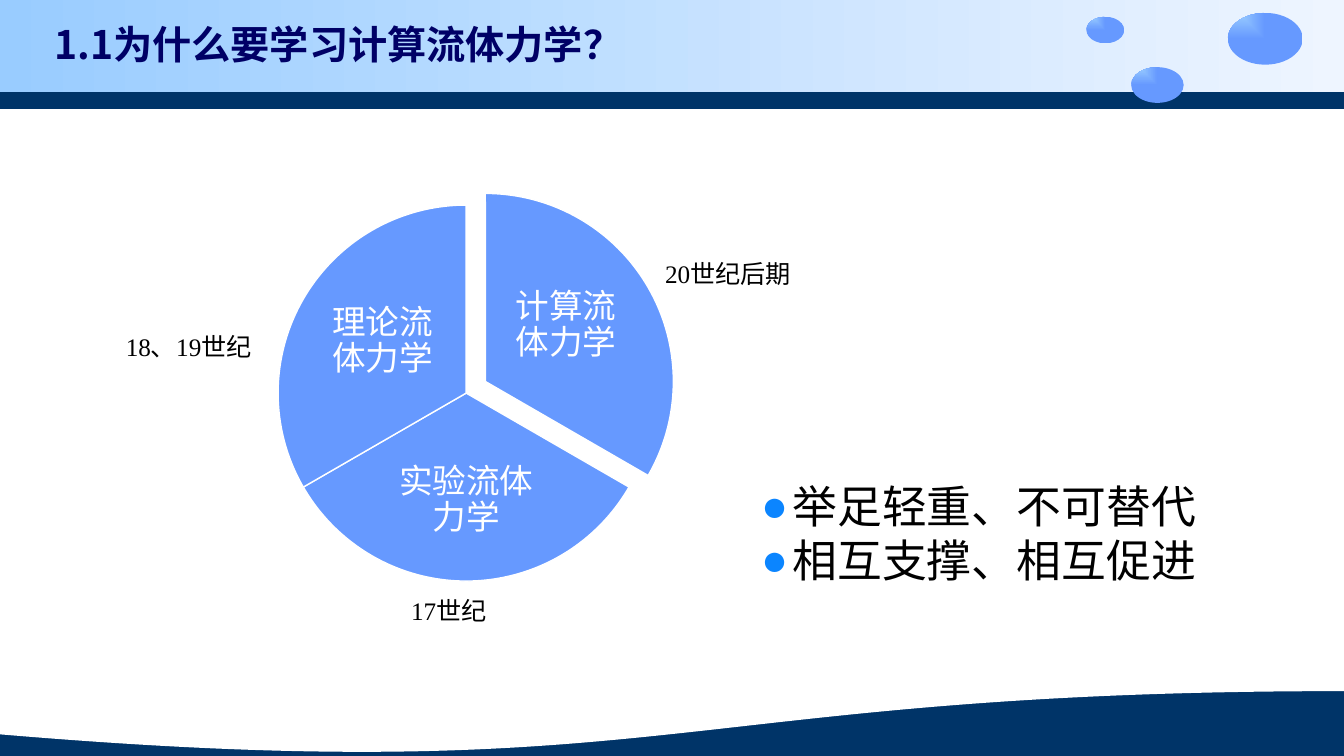
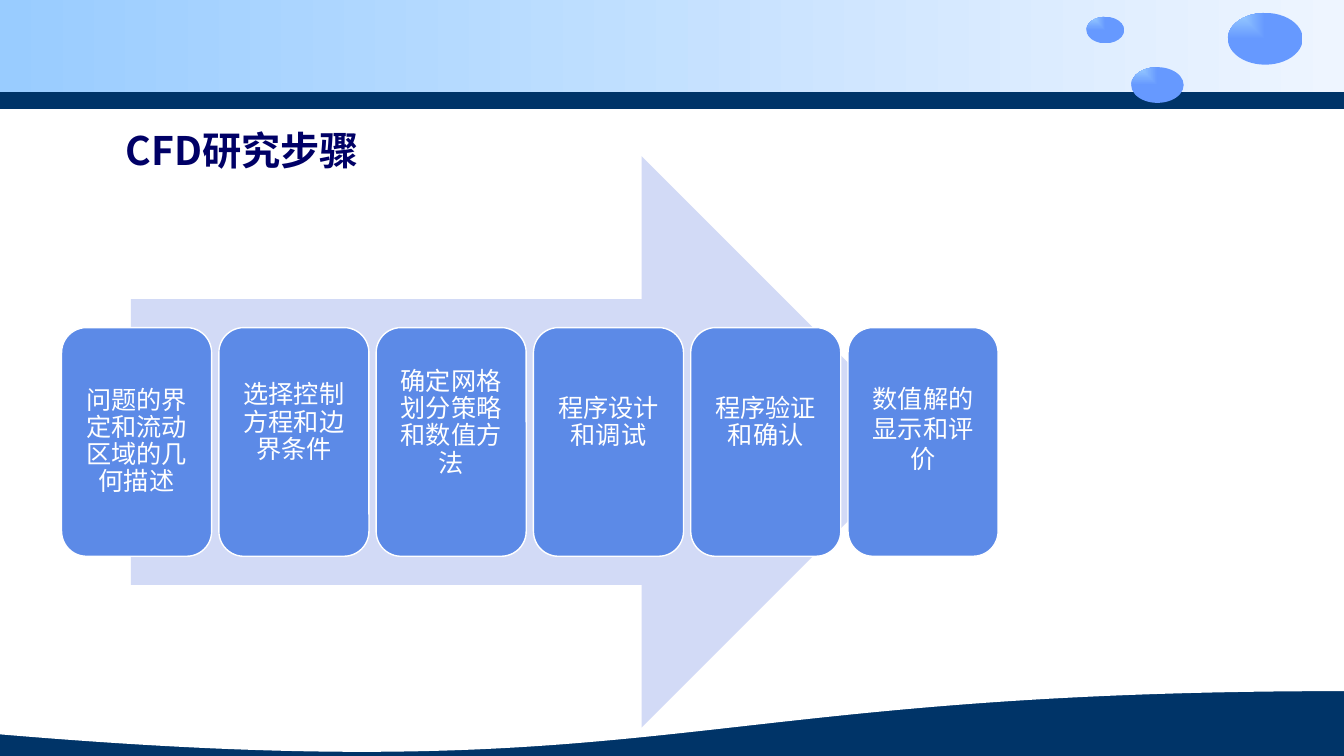
from dataclasses import dataclass
from typing import NamedTuple

from lxml import etree
from pptx import Presentation
from pptx import util as u
from pptx.dml.color import RGBColor
from pptx.enum import shapes, text
from pptx.oxml import ns

COLORS = {
    "navy": "003468", "sky": "99CCFF", "pale": "EEF5FF", "blue": "6699FF",
    "white": "FFFFFF", "black": "000000", "title": "000066",
    "bullet": "0B85FF", "arrow": "D2DAF6", "card": "5C8AE7",
}
CJK_FONT = "Noto Sans CJK SC"
DIAGRAM_FONT = "DejaVu Sans"
LABEL_FONT = "Times New Roman"
SLIDE_WIDTH, SLIDE_HEIGHT = 960, 540
DEFAULT_INSETS = (7.2, 3.6, 7.2, 3.6)

SHAPE = shapes.MSO_SHAPE
LEFT, CENTER = text.PP_ALIGN.LEFT, text.PP_ALIGN.CENTER
TOP, MIDDLE = text.MSO_ANCHOR.TOP, text.MSO_ANCHOR.MIDDLE


class Box(NamedTuple):
    """Left, top, width and height in points."""
    left: float
    top: float
    width: float
    height: float

    def lengths(self) -> list:
        return [u.Pt(value) for value in self]


@dataclass(frozen=True)
class TextStyle:
    font: str
    size: float
    color: str
    bold: bool = False
    align: int = LEFT
    anchor: int = TOP
    spacing: float = 1.0
    insets: tuple = DEFAULT_INSETS


@dataclass(frozen=True)
class Wedge:
    label: str
    pie: Box
    start: float
    end: float
    label_box: Box


@dataclass(frozen=True)
class Step:
    label: str
    spacing: float = 0.9
    bottom_inset: float = 32


TITLE = TextStyle(CJK_FONT, 28, "title", True, anchor=MIDDLE, spacing=0.7)
BULLETS = TextStyle(CJK_FONT, 32, "black")
CENTURY = TextStyle(LABEL_FONT, 18, "black")
WEDGE_LABEL = TextStyle(DIAGRAM_FONT, 24, "white", align=CENTER, anchor=MIDDLE,
                        spacing=0.9, insets=(2.4,) * 4)

# Slide 1 content
PIE_BOX = Box(198.7, 146.5, 268.6, 268.6)
PULLED_BOX = PIE_BOX._replace(left=212.4, top=138.2)
WEDGES = [
    Wedge("计算流体力学", PULLED_BOX, 162, 18, Box(358.6, 188, 91.4, 89.3)),
    Wedge("实验流体力学", PIE_BOX, 18, 90, Box(272.2, 316, 121.7, 83.5)),
    Wedge("理论流体力学", PIE_BOX, 90, 162, Box(227.5, 199.5, 91.4, 89.3)),
]
CENTURIES = [
    ("17世纪", Box(286.6, 422, 69, 29)),
    ("18、19世纪", Box(82.8, 233.3, 105, 29)),
    ("20世纪后期", Box(468, 180.7, 105, 29)),
]
ROLES = ["举足轻重、不可替代", "相互支撑、相互促进"]

# Slide 2 content
STEPS = [
    Step("问题的界定和流动区域的几何描述", bottom_inset=5),
    Step("选择控制方程和边界条件"),
    Step("确定网格划分策略和数值方法"),
    Step("程序设计和调试"),
    Step("程序验证和确认"),
    Step("数值解的显示和评价", spacing=1.0, bottom_inset=24),
]
FIRST_CARD = Box(44, 234, 107.2, 163.4)
CARD_PITCH = 112.35


def rgb(name: str) -> RGBColor:
    return RGBColor.from_string(COLORS[name])


def set_values(target, values: dict) -> None:
    for name, value in values.items():
        setattr(target, name, value)


def write_text(shape, lines: list, style: TextStyle) -> None:
    frame = shape.text_frame
    left, top, right, bottom = map(u.Pt, style.insets)
    set_values(frame, {
        "text": "\n".join(lines), "word_wrap": True,
        "auto_size": text.MSO_AUTO_SIZE.NONE, "vertical_anchor": style.anchor,
        "margin_left": left, "margin_top": top,
        "margin_right": right, "margin_bottom": bottom,
    })
    for paragraph in frame.paragraphs:
        set_values(paragraph, {
            "alignment": style.align, "line_spacing": style.spacing,
            "space_before": u.Pt(0), "space_after": u.Pt(0),
        })
        for run in paragraph.runs:
            set_values(run.font, {"name": style.font, "size": u.Pt(style.size),
                                  "bold": style.bold})
            run.font.color.rgb = rgb(style.color)
            east_asian = etree.SubElement(run.font._element, ns.qn("a:ea"))
            east_asian.set("typeface", CJK_FONT)


def place(shape, box: Box) -> None:
    set_values(shape, dict(zip(("left", "top", "width", "height"), box.lengths())))


def add_title(slide, title: str, box: Box) -> None:
    place(slide.shapes.title, box)
    write_text(slide.shapes.title, [title], TITLE)


def add_label(slide, label: str, box: Box, style: TextStyle) -> None:
    write_text(slide.shapes.add_textbox(*box.lengths()), [label], style)


def add_figure(slide, kind, box: Box, fill: str, outlined: bool = False):
    figure = slide.shapes.add_shape(kind, *box.lengths())
    figure.shadow.inherit = False
    figure.fill.solid()
    figure.fill.fore_color.rgb = rgb(fill)
    if outlined:
        figure.line.color.rgb = rgb("white")
        figure.line.width = u.Pt(1)
    else:
        figure.line.fill.background()
    return figure


def fill_gradient(figure, start: str, end: str, from_corner: bool = False) -> None:
    figure.fill.gradient()
    figure.fill.gradient_angle = 0
    for stop, color in zip(figure.fill.gradient_stops, (start, end)):
        stop.color.rgb = rgb(color)
    if from_corner:
        gradient = figure.element.spPr.find(ns.qn("a:gradFill"))
        gradient.remove(gradient.find(ns.qn("a:lin")))
        corner = etree.SubElement(gradient, ns.qn("a:path"))
        corner.set("path", "rect")
        focus = etree.SubElement(corner, ns.qn("a:fillToRect"))
        focus.set("r", "100000")
        focus.set("b", "100000")


def add_bullets(paragraph) -> None:
    properties = paragraph._p.get_or_add_pPr()
    properties.set("marL", str(u.Pt(22.5)))
    properties.set("indent", str(-u.Pt(22.5)))
    color = etree.SubElement(properties, ns.qn("a:buClr"))
    etree.SubElement(color, ns.qn("a:srgbClr")).set("val", COLORS["bullet"])
    etree.SubElement(properties, ns.qn("a:buChar")).set("char", "●")


def decorate_master(master, slide) -> None:
    """Draw the shared bands and bubbles, then move them to the master."""
    master.background.fill.solid()
    master.background.fill.fore_color.rgb = rgb("navy")
    band = add_figure(slide, SHAPE.RECTANGLE, Box(0, 0, SLIDE_WIDTH, 66), "sky")
    fill_gradient(band, "sky", "pale")
    decorations = [
        band,
        add_figure(slide, SHAPE.RECTANGLE, Box(0, 78, SLIDE_WIDTH, 288), "white"),
        add_figure(slide, SHAPE.FLOWCHART_DOCUMENT,
                   Box(0, 306, SLIDE_WIDTH, 234), "white"),
    ]
    for box in (Box(776, 12, 27, 19), Box(808, 48, 37.5, 25.5),
                Box(877, 9.2, 53.5, 37)):
        bubble = add_figure(slide, SHAPE.OVAL, box, "blue")
        fill_gradient(bubble, "sky", "blue", from_corner=True)
        decorations.append(bubble)
    for number, decoration in enumerate(decorations, start=101):
        decoration.element.nvSpPr.cNvPr.set("id", str(number))
        master.shapes.element.append(decoration.element)


def build_reasons(slide) -> None:
    add_title(slide, "1.1为什么要学习计算流体力学？", Box(31.7, 20, 816, 31))

    # Three branches of fluid mechanics
    for wedge in WEDGES:
        slice_ = add_figure(slide, SHAPE.PIE, wedge.pie, "blue", outlined=True)
        slice_.adjustments[0] = wedge.start
        slice_.adjustments[1] = wedge.end
        add_label(slide, wedge.label, wedge.label_box, WEDGE_LABEL)
    for century, box in CENTURIES:
        add_label(slide, century, box, CENTURY)

    # How the branches relate
    roles = slide.placeholders[1]
    place(roles, Box(536.4, 338.4, 330, 85))
    write_text(roles, ROLES, BULLETS)
    for paragraph in roles.text_frame.paragraphs:
        add_bullets(paragraph)


def build_steps(slide) -> None:
    add_title(slide, "CFD研究步骤", Box(82.8, 87, 353, 48))
    add_figure(slide, SHAPE.RIGHT_ARROW, Box(93.6, 111.6, 568.8, 408.2), "arrow")
    for index, step in enumerate(STEPS):
        box = FIRST_CARD._replace(left=FIRST_CARD.left + index * CARD_PITCH)
        card = add_figure(slide, SHAPE.ROUNDED_RECTANGLE, box, "card", outlined=True)
        write_text(card, [step.label], TextStyle(
            DIAGRAM_FONT, 18, "white", align=CENTER, anchor=MIDDLE,
            spacing=step.spacing, insets=(5, 5, 5, step.bottom_inset)))


def main() -> None:
    deck = Presentation()
    deck.slide_width, deck.slide_height = u.Pt(SLIDE_WIDTH), u.Pt(SLIDE_HEIGHT)
    title_and_list, title_only = deck.slide_layouts[1], deck.slide_layouts[5]
    reasons = deck.slides.add_slide(title_and_list)
    decorate_master(deck.slide_master, reasons)
    build_reasons(reasons)
    build_steps(deck.slides.add_slide(title_only))
    deck.save("out.pptx")


if __name__ == "__main__":
    main()
